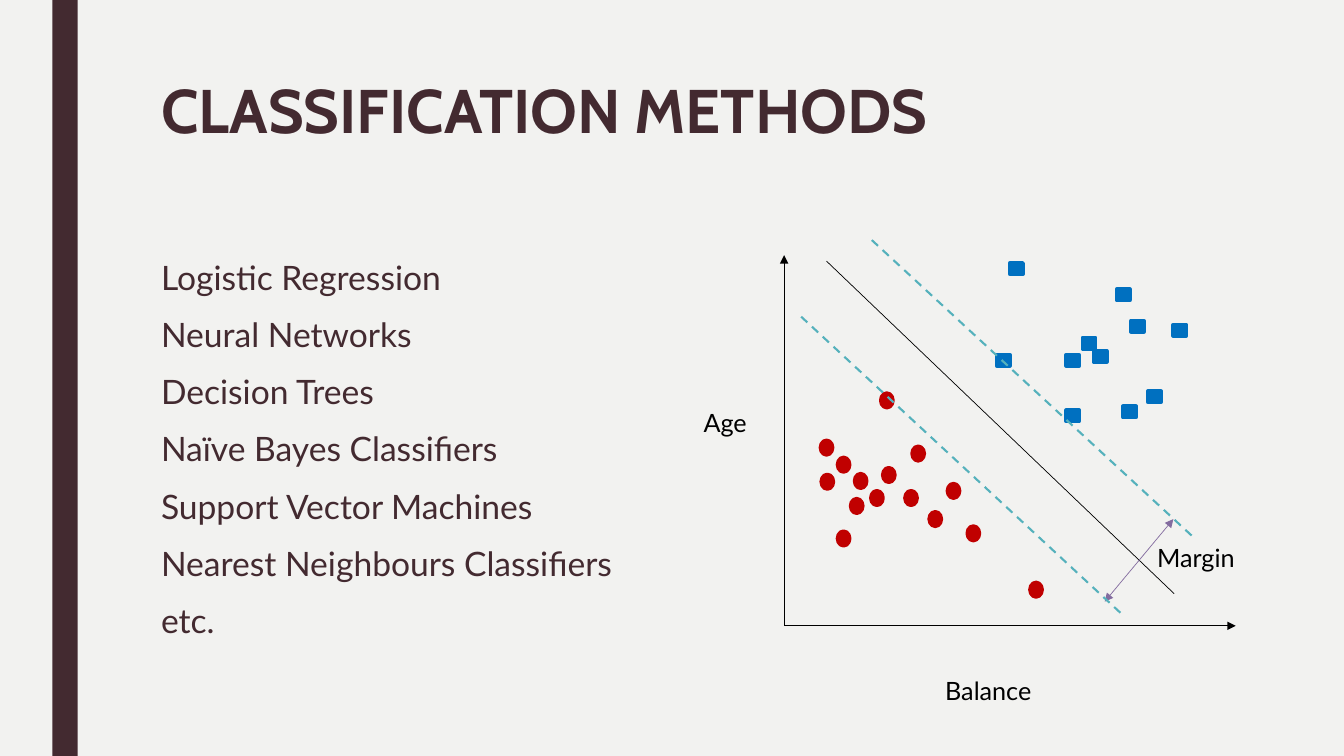
from lxml.etree import SubElement
from pptx import Presentation
from pptx.dml.color import RGBColor
from pptx.enum.dml import MSO_LINE as DASH
from pptx.enum.shapes import MSO_CONNECTOR as CONNECTOR, MSO_SHAPE as SHAPE
from pptx.enum.text import MSO_ANCHOR as ANCHOR, MSO_AUTO_SIZE as AUTO, PP_ALIGN as ALIGN
from pptx.oxml.ns import qn
from pptx.util import Cm, Pt

PLUM = RGBColor(0x43, 0x2A, 0x30)
PAPER = RGBColor(0xF2, 0xF2, 0xF0)
BLACK = RGBColor(0, 0, 0)
RED = RGBColor(0xC0, 0, 0)
BLUE = RGBColor(0, 0x70, 0xC0)
TEAL = RGBColor(0x55, 0xB1, 0xBC)
PURPLE = RGBColor(0x83, 0x6C, 0x9F)

METHODS = [
    "Logistic Regression", "Neural Networks", "Decision Trees",
    "Naïve Bayes Classifiers", "Support Vector Machines",
    "Nearest Neighbours Classifiers", "etc.",
]
AXIS_LABELS = [("Age", 17.48, 10.13), ("Balance", 23.57, 16.89), ("Margin", 28.91, 13.54)]

# Left and top of each data point, in cm
RED_POINTS = [
    (20.68, 11.1), (21.11, 11.53), (20.7, 11.96), (21.11, 13.39), (22.25, 11.79),
    (22.81, 12.37), (22.99, 11.25), (24.38, 13.26), (23.42, 12.9), (22.2, 9.91),
    (23.88, 12.19), (25.96, 14.68), (21.54, 11.94), (21.95, 12.37), (21.44, 12.57),
]
BLUE_POINTS = [
    (25.12, 8.94), (26.87, 10.34), (26.87, 8.94), (27.28, 8.51), (28.3, 10.24),
    (27.56, 8.84), (28.93, 9.86), (28.5, 8.08), (25.45, 6.63), (29.57, 8.18),
    (28.14, 7.29),
]
ORIGIN = (19.76, 15.77)


def place(sp, left, top, width, height):
    sp.left, sp.top, sp.width, sp.height = Cm(left), Cm(top), Cm(width), Cm(height)


def write(tf, *lines, size=18, font="Lato", color=BLACK, bold=False,
          align=ALIGN.LEFT, before=0, after=0, spacing=1.0):
    """Fill a text frame with one paragraph per line."""
    tf.word_wrap = True
    tf.auto_size = AUTO.NONE
    tf.vertical_anchor = ANCHOR.TOP
    for i, line in enumerate(lines):
        p = tf.add_paragraph() if i else tf.paragraphs[0]
        p.alignment = align
        p.space_before, p.space_after = Pt(before), Pt(after)
        p.line_spacing = spacing
        r = p.add_run()
        r.text = line
        r.font.size, r.font.name, r.font.bold = Pt(size), font, bold
        r.font.color.rgb = color


def add_text(s, box, *lines, **fmt):
    sp = s.shapes.add_textbox(*map(Cm, box))
    write(sp.text_frame, *lines, **fmt)


def add_solid(s, kind, box, color, outline=None):
    sp = s.shapes.add_shape(kind, *map(Cm, box))
    sp.shadow.inherit = False
    sp.fill.solid()
    sp.fill.fore_color.rgb = color
    if outline:
        sp.line.color.rgb = color
        sp.line.width = Pt(outline)
    else:
        sp.line.fill.background()


def add_points(s, kind, points, width, height, color):
    for left, top in points:
        add_solid(s, kind, (left, top, width, height), color, outline=2.75)


def add_line(s, start, end, color=BLACK, width=0.5, dash=None, arrows=()):
    """Draw a straight line; arrows names the ends ("headEnd", "tailEnd") with a tip."""
    line = s.shapes.add_connector(CONNECTOR.STRAIGHT, *map(Cm, start + end))
    line.line.color.rgb = color
    line.line.width = Pt(width)
    if dash:
        line.line.dash_style = dash
    for tip in arrows:
        SubElement(line.line._get_or_add_ln(), qn("a:" + tip), type="triangle")
    SubElement(line._element.spPr, qn("a:effectLst"))


def add_diagram(s):
    for end in [(ORIGIN[0], 6.43), (31.14, ORIGIN[1])]:
        add_line(s, ORIGIN, end, arrows=["tailEnd"])
    for label, left, top in AXIS_LABELS:
        add_text(s, (left, top, 2.77, 1.02), label)
    add_line(s, (20.83, 6.58), (29.59, 14.96))
    add_points(s, SHAPE.OVAL, RED_POINTS, 0.3, 0.36, RED)
    add_points(s, SHAPE.RECTANGLE, BLUE_POINTS, 0.33, 0.28, BLUE)
    add_line(s, (27.84, 15.16), (29.57, 13.08), PURPLE, arrows=["headEnd", "tailEnd"])
    for start, end in [((20.19, 7.98), (28.32, 15.52)), ((21.97, 6.05), (30.1, 13.56))]:
        add_line(s, start, end, TEAL, 1.5, DASH.DASH)


def main():
    prs = Presentation()
    prs.slide_width, prs.slide_height = Cm(33.87), Cm(19.05)
    s = prs.slides.add_slide(prs.slide_layouts[5])
    s.background.fill.solid()
    s.background.fill.fore_color.rgb = PAPER

    add_solid(s, SHAPE.RECTANGLE, (1.32, 0, 0.64, 19.05), PLUM)
    place(s.shapes.title, 3.81, 1.9, 26.67, 4.11)
    write(s.shapes.title.text_frame, "CLASSIFICATION METHODS", size=44,
          font="Cabin", color=PLUM, bold=True, spacing=0.89)
    add_text(s, (3.81, 6.35, 26.67, 9.96), *METHODS, size=24, color=PLUM,
             align=ALIGN.JUSTIFY, before=10, after=2)
    add_diagram(s)
    prs.save("out.pptx")


if __name__ == "__main__":
    main()
